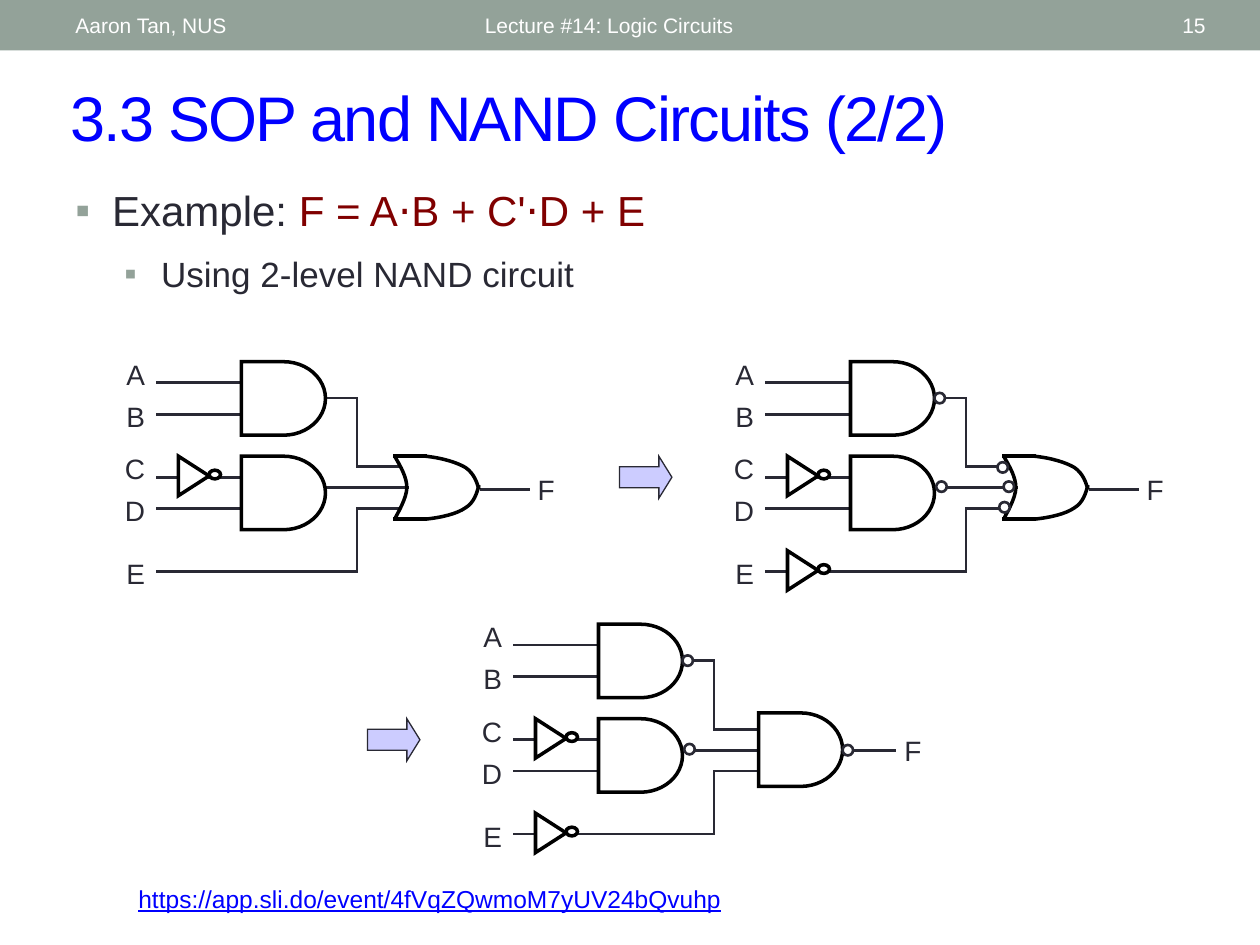
from lxml.etree import SubElement
from pptx import Presentation
from pptx.dml.color import RGBColor
from pptx.enum.shapes import MSO_CONNECTOR, MSO_SHAPE as Shape
from pptx.enum.text import MSO_ANCHOR as Anchor, PP_ALIGN as Align
from pptx.oxml.ns import qn
from pptx.util import Pt

COLORS = {"band": "93A299", "link": "0000FF", "ink": "292934", "formula": "800000",
          "gate": "000000", "white": "FFFFFF", "arrow": "CCCCFF"}

# Content: text, left, top, width, height, size, color, alignment
HEADER = [
    ("Lecture #14: Logic Circuits", 270, 1.5, 324, 26, 12, "white", Align.LEFT),
    ("15", 628, 1.5, 68, 26, 12, "white", Align.RIGHT),
    ("Aaron Tan, NUS", 36, 1.5, 228, 26, 12, "white", Align.LEFT),
]
TITLE = ("3.3 SOP and NAND Circuits (2/2)", 33, 41, 653, 50.5, 36, "link", Align.LEFT)
LINK = ("https://app.sli.do/event/4fVqZQwmoM7yUV24bQvuhp",
        72, 501.4, 556, 24.5, 14, "link", Align.LEFT)
# Bullets: left margin, size, space before, runs
BULLETS = [
    (21, 24, 0, [("Example:", "ink"), (" F = A⋅B + C'⋅D + E", "formula")]),
    (49, 20, 10, [("Using 2-level NAND circuit", "ink")]),
]

# Circuits: places inside each one are relative to its origin
CIRCUITS = [
    {"origin": (60, 200.7), "inverters": [0], "final": "or", "bubbles": []},
    {"origin": (408, 200.7), "inverters": [0, 54], "final": "or", "arrow": (354, 260.7),
     "bubbles": [(126, 23.8), (127, 74.4), (162, 63.4), (165.5, 74.4), (163, 86.2)]},
    {"origin": (264, 350.7), "inverters": [0, 54], "final": "nand", "arrow": (210, 410.7),
     "bubbles": [(126, 23.8), (127, 74.4), (217.5, 75)]},
]
# Inputs: label top, wire height, wire end
INPUTS = {"A": (0, 18, 78), "B": (24, 36, 78), "C": (54, 72, 78),
          "D": (78, 90, 78), "E": (114, 126, 144)}
INNER_WIRES = [
    (126, 26.7, 144, 26.7), (144, 26.7, 144, 66), (144, 66, 168.5, 66),
    (126, 78, 173, 78),
    (144, 126, 144, 90), (144, 90, 168.5, 90),
]
# Final gate: output wire start, end, height; F label left, top
OUTPUTS = {"or": (215, 242, 79, 240.2, 65.5), "nand": (221, 247.5, 78, 245.7, 65)}
GATE_TOPS = (6, 60)
# OR gate: straight edges, and curves as a start followed by Bezier triples
OR_EDGES = [(165.5, 60, 183, 60), (165.5, 96, 183, 96)]
OR_CURVES = [
    [(165.5, 60), (169, 66), (172.5, 72), (172.5, 78), (172.5, 84), (167, 93), (165.5, 96)],
    [(183, 60), (192.5, 61), (201, 63.5), (206, 66.5), (211, 70), (212.5, 75), (213.7, 79)],
    [(183, 96), (192.5, 95), (201, 93), (206, 89.5), (211, 86.5), (212.5, 81), (213.7, 76.5)],
]


def rgb(name):
    return RGBColor.from_string(COLORS[name])


def style_font(font, size, color):
    font.name, font.size = "Arial", Pt(size)
    font.color.rgb = rgb(color)


def add_text(shapes, text, left, top, width, height, size, color, align, anchor=Anchor.TOP):
    frame = shapes.add_textbox(Pt(left), Pt(top), Pt(width), Pt(height)).text_frame
    frame.word_wrap = True
    frame.vertical_anchor = anchor
    frame.text = text
    line = frame.paragraphs[0]
    line.alignment = align
    style_font(line.runs[0].font, size, color)
    return line.runs[0]


def paint(part, fill, outline, weight):
    part.shadow.inherit = False
    if fill:
        part.fill.solid()
        part.fill.fore_color.rgb = rgb(fill)
    else:
        part.fill.background()
    if outline:
        part.line.color.rgb = rgb(outline)
        part.line.width = Pt(weight)
        SubElement(part._element.spPr.find(qn("a:ln")), qn("a:miter"), lim="800000")
    else:
        part.line.fill.background()


def add_part(shapes, preset, left, top, width, height, fill, outline="gate", weight=2):
    part = shapes.add_shape(preset, Pt(left), Pt(top), Pt(width), Pt(height))
    paint(part, fill, outline, weight)
    return part


def add_wire(shapes, x1, y1, x2, y2, color="ink", weight=1.5):
    wire = shapes.add_connector(MSO_CONNECTOR.STRAIGHT, Pt(x1), Pt(y1), Pt(x2), Pt(y2))
    wire.line.color.rgb = rgb(color)
    wire.line.width = Pt(weight)
    props = wire._element.spPr
    props.find(qn("a:ln")).set("cap", "sq")
    SubElement(props, qn("a:effectLst"))


def add_curve(shapes, points):
    vertices = [(Pt(px), Pt(py)) for px, py in points]
    builder = shapes.build_freeform(*vertices[0])
    builder.add_line_segments(vertices[1:], close=False)
    curve = builder.convert_to_shape()
    paint(curve, None, "gate", 2)
    # Turn each three straight segments into one Bezier segment
    outline = next(curve._element.iter(qn("a:path")))
    segments = outline.findall(qn("a:lnTo"))
    for i in range(0, len(segments), 3):
        bezier = SubElement(outline, qn("a:cubicBezTo"))
        for segment in segments[i:i + 3]:
            bezier.append(segment[0])
            outline.remove(segment)


def add_or_gate(shapes, x, y):
    for x1, y1, x2, y2 in OR_EDGES:
        add_wire(shapes, x + x1, y + y1, x + x2, y + y2, "gate", 2)
    for points in OR_CURVES:
        add_curve(shapes, [(x + px, y + py) for px, py in points])


def add_circuit(slide, circuit):
    shapes = slide.shapes.add_group_shape().shapes
    x, y = circuit["origin"]
    if "arrow" in circuit:
        arrow = add_part(shapes, Shape.RIGHT_ARROW, *circuit["arrow"], 30, 24,
                         "arrow", "ink", 0.75)
        arrow.adjustments[1] = 0.31

    # Labels and wires
    for name, (label_top, wire_y, wire_end) in INPUTS.items():
        add_text(shapes, name, x, y + label_top, 30, 26.5, 16, "ink", Align.RIGHT)
        add_wire(shapes, x + 30, y + wire_y, x + wire_end, y + wire_y)
    for x1, y1, x2, y2 in INNER_WIRES:
        add_wire(shapes, x + x1, y + y1, x + x2, y + y2)
    start, end, out_y, f_left, f_top = OUTPUTS[circuit["final"]]
    add_wire(shapes, x + start, y + out_y, x + end, y + out_y)
    add_text(shapes, "F", x + f_left, y + f_top, 34.5, 26.5, 16, "ink", Align.LEFT)

    # Gates
    for top in GATE_TOPS:
        add_part(shapes, Shape.FLOWCHART_DELAY, x + 78, y + top, 48, 42, None)
    if circuit["final"] == "or":
        add_or_gate(shapes, x, y)
    else:
        add_part(shapes, Shape.FLOWCHART_DELAY, x + 169.5, y + 56.7, 48, 42, "white")

    # Inverters and negation bubbles
    for drop in circuit["inverters"]:
        triangle = add_part(shapes, Shape.FLOWCHART_MERGE, x + 39.5, y + 62.5 + drop,
                            22.5, 17.5, "white")
        triangle.rotation = 270
        add_part(shapes, Shape.OVAL, x + 59.5, y + 68 + drop, 6.5, 5, "white")
    for left, top in circuit["bubbles"]:
        add_part(shapes, Shape.OVAL, x + left, y + top, 6, 6, "white", "ink", 1.5)


def add_bullets(slide):
    frame = slide.shapes.add_textbox(Pt(36), Pt(102), Pt(648), Pt(75)).text_frame
    frame.word_wrap = True
    for i, (margin, size, before, runs) in enumerate(BULLETS):
        line = frame.add_paragraph() if i else frame.paragraphs[0]
        line.level = i
        props = line._p.get_or_add_pPr()
        props.set("marL", str(Pt(margin)))
        props.set("indent", str(Pt(-21)))
        if before:
            line.space_before = Pt(before)
        bullet_color = SubElement(props, qn("a:buClr"))
        SubElement(bullet_color, qn("a:srgbClr"), val=COLORS["band"])
        SubElement(props, qn("a:buFont"), typeface="Arial")
        SubElement(props, qn("a:buChar"), char="▪")
        for text, color in runs:
            run = line.add_run()
            run.text = text
            style_font(run.font, size, color)


def main():
    deck = Presentation()
    deck.slide_width, deck.slide_height = Pt(720), Pt(540)
    slide = deck.slides.add_slide(deck.slide_layouts[6])

    # Header band, title and link
    add_part(slide.shapes, Shape.RECTANGLE, 0, 0, 720, 28.8, "band", None)
    for item in HEADER:
        add_text(slide.shapes, *item, anchor=Anchor.MIDDLE)
    title = add_text(slide.shapes, *TITLE, anchor=Anchor.MIDDLE)
    title._r.get_or_add_rPr().set("spc", "-100")
    add_text(slide.shapes, *LINK).font.underline = True

    add_bullets(slide)
    for circuit in CIRCUITS:
        add_circuit(slide, circuit)
    deck.save("out.pptx")


if __name__ == "__main__":
    main()
